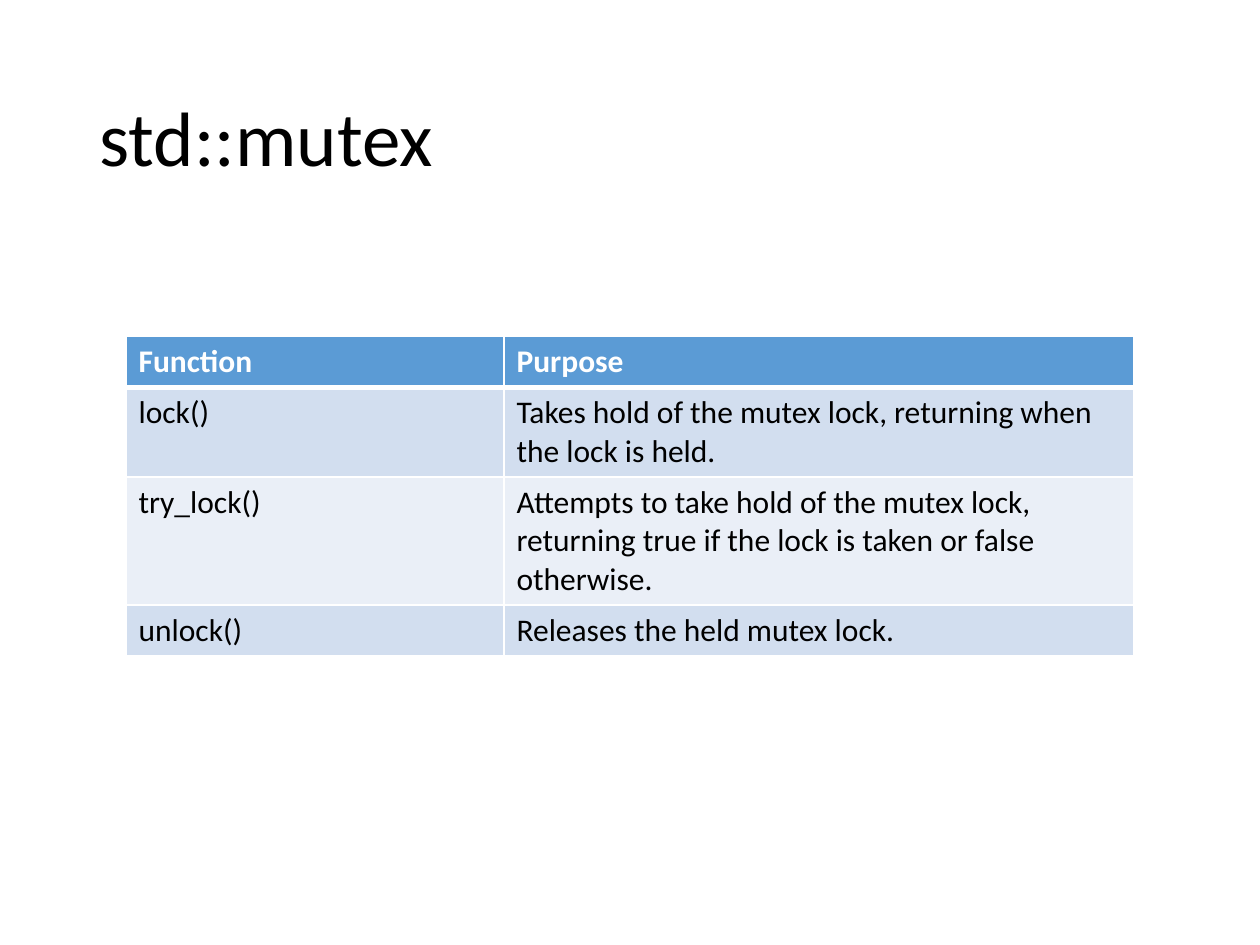
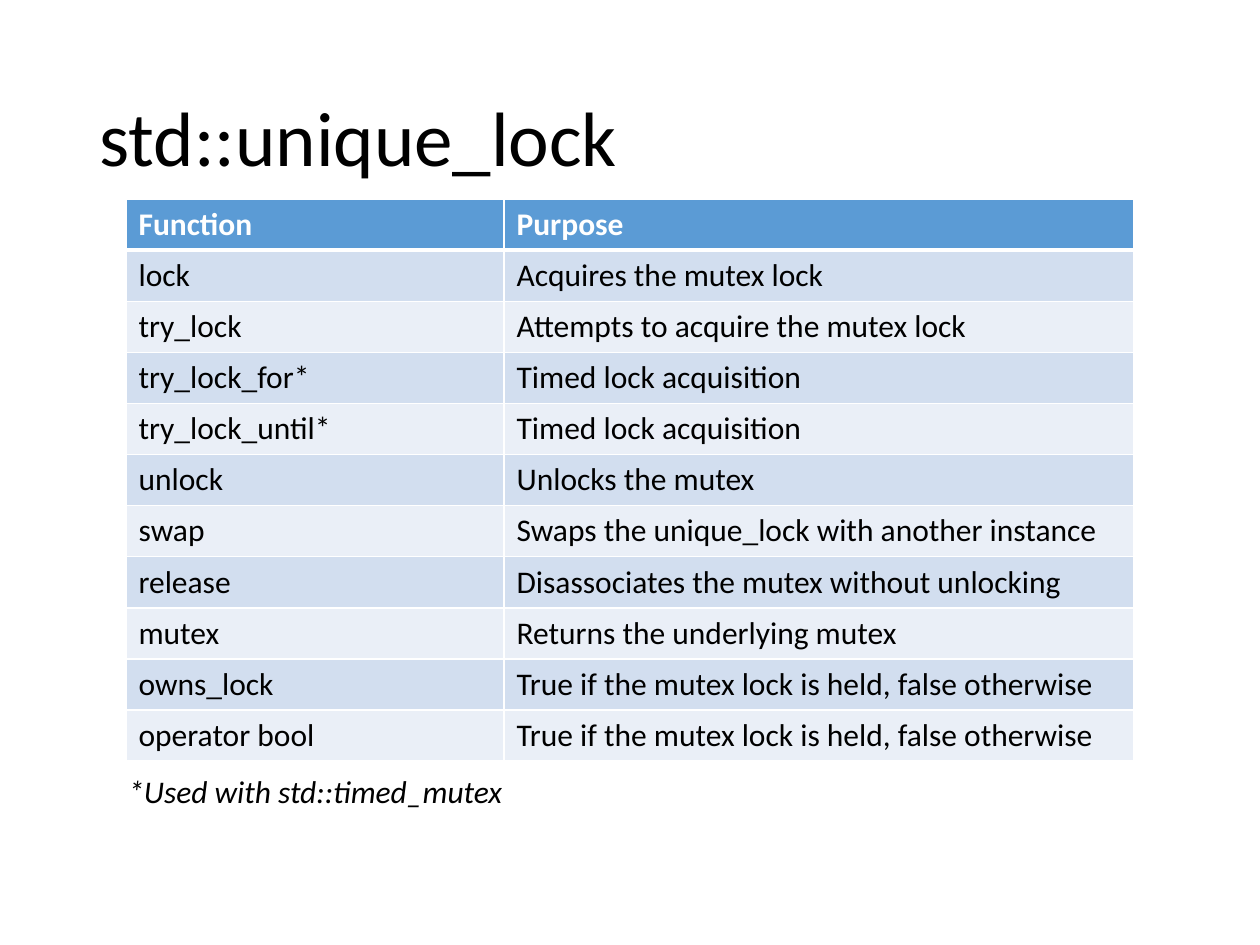
from lxml.etree import SubElement
from pptx import Presentation
from pptx.dml.color import RGBColor
from pptx.enum.text import MSO_ANCHOR, MSO_AUTO_SIZE, PP_ALIGN
from pptx.oxml.ns import qn
from pptx.util import Inches, Pt

# Shared look
FONT = "Calibri"
BLACK, WHITE = "000000", "FFFFFF"
HEADER_FILL = "5B9BD5"
BAND_FILLS = ("D2DEEF", "EAEFF7")

# Shared grid: ten columns of one inch
SLIDE_WIDTH, SLIDE_HEIGHT = Inches(10), Inches(7.5)
COLUMN = SLIDE_WIDTH // 10
TABLE_COLUMNS = (3, 5)
ROW_HEIGHT = Pt(29.2)
TITLE_ONLY_LAYOUT = 5

HEADINGS = ("Function", "Purpose")
MUTEX_ROWS = [
    ("lock()", "Takes hold of the mutex lock, returning when the lock is held."),
    ("try_lock()", "Attempts to take hold of the mutex lock, returning true "
                   "if the lock is taken or false otherwise."),
    ("unlock()", "Releases the held mutex lock."),
]
UNIQUE_LOCK_ROWS = [
    ("lock", "Acquires the mutex lock"),
    ("try_lock", "Attempts to acquire the mutex lock"),
    ("try_lock_for*", "Timed lock acquisition"),
    ("try_lock_until*", "Timed lock acquisition"),
    ("unlock", "Unlocks the mutex"),
    ("swap", "Swaps the unique_lock with another instance"),
    ("release", "Disassociates the mutex without unlocking"),
    ("mutex", "Returns the underlying mutex"),
    ("owns_lock", "True if the mutex lock is held, false otherwise"),
    ("operator bool", "True if the mutex lock is held, false otherwise"),
]


def color(hex_string):
    return RGBColor.from_string(hex_string)


def write(frame, text, size=18, fill=BLACK, bold=False, italic=False, spacing=1.0):
    """Put one formatted, left-aligned paragraph in a text frame."""
    frame.word_wrap = True
    para = frame.paragraphs[0]
    para.alignment = PP_ALIGN.LEFT
    para.line_spacing = spacing
    span = para.add_run()
    span.text = text
    span.font.name = FONT
    span.font.size = Pt(size)
    span.font.bold = bold
    span.font.italic = italic
    span.font.color.rgb = color(fill)


def add_titled_page(deck, title):
    page = deck.slides.add_slide(deck.slide_layouts[TITLE_ONLY_LAYOUT])
    box = page.shapes.title
    box.left, box.top = Inches(0.69), Inches(0.4)
    box.width, box.height = SLIDE_WIDTH - 2 * box.left, Inches(1.45)
    frame = box.text_frame
    frame.vertical_anchor = MSO_ANCHOR.MIDDLE
    frame.auto_size = MSO_AUTO_SIZE.NONE
    write(frame, title, size=44, spacing=0.9)
    return page


def set_borders(cell, top, bottom):
    """Draw white cell borders; top and bottom are widths in points."""
    properties = cell._tc.get_or_add_tcPr()
    for side, width in (("L", 1), ("R", 1), ("T", top), ("B", bottom)):
        line = SubElement(properties, qn(f"a:ln{side}"), w=str(Pt(width)))
        paint = SubElement(line, qn("a:solidFill"))
        SubElement(paint, qn("a:srgbClr"), val=WHITE)


def add_function_table(page, rows, top):
    rows = [HEADINGS, *rows]
    table = page.shapes.add_table(
        len(rows), len(HEADINGS), COLUMN, top,
        sum(TABLE_COLUMNS) * COLUMN, len(rows) * ROW_HEIGHT).table
    for column, span in zip(table.columns, TABLE_COLUMNS):
        column.width = span * COLUMN
    for row_index, row in enumerate(rows):
        table.rows[row_index].height = ROW_HEIGHT
        is_header = row_index == 0
        fill = HEADER_FILL if is_header else BAND_FILLS[(row_index - 1) % 2]
        for column_index, text in enumerate(row):
            cell = table.cell(row_index, column_index)
            # The heavy rule lies between the header and the first row
            set_borders(cell, top=3 if row_index == 1 else 1,
                        bottom=3 if is_header else 1)
            cell.fill.solid()
            cell.fill.fore_color.rgb = color(fill)
            write(cell.text_frame, text, bold=is_header,
                  fill=WHITE if is_header else BLACK)


def add_footnote(page, text):
    box = page.shapes.add_textbox(Inches(0.92), Inches(6.08), Inches(5.83), Inches(0.4))
    write(box.text_frame, text, italic=True)
    box.text_frame.auto_size = MSO_AUTO_SIZE.SHAPE_TO_FIT_TEXT


def main():
    deck = Presentation()
    deck.slide_width, deck.slide_height = SLIDE_WIDTH, SLIDE_HEIGHT

    # std::mutex
    page = add_titled_page(deck, "std::mutex")
    add_function_table(page, MUTEX_ROWS, top=Inches(2.67))

    # std::unique_lock
    page = add_titled_page(deck, "std::unique_lock")
    add_function_table(page, UNIQUE_LOCK_ROWS, top=Inches(1.58))
    add_footnote(page, "*Used with std::timed_mutex")

    deck.save("out.pptx")


if __name__ == "__main__":
    main()
